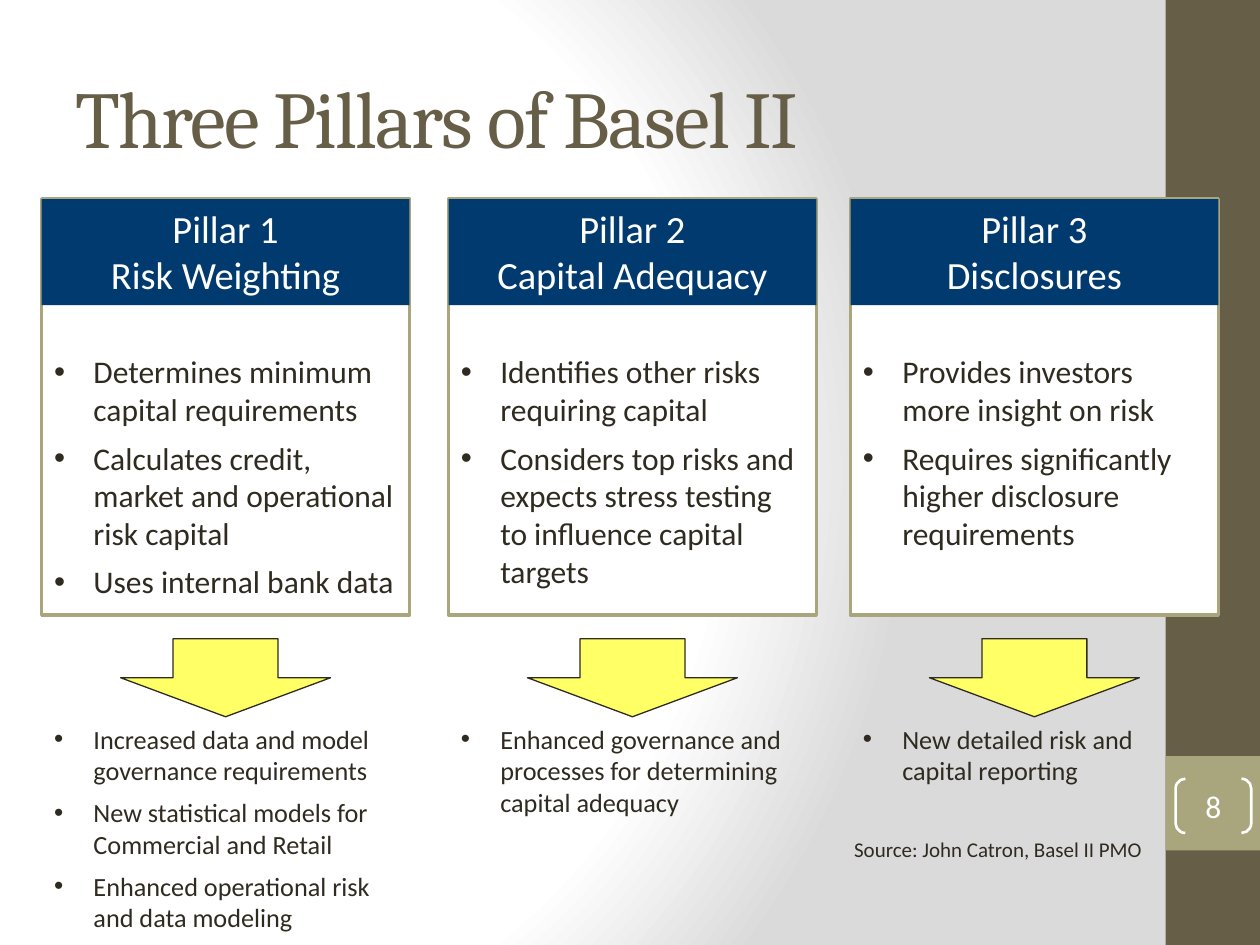
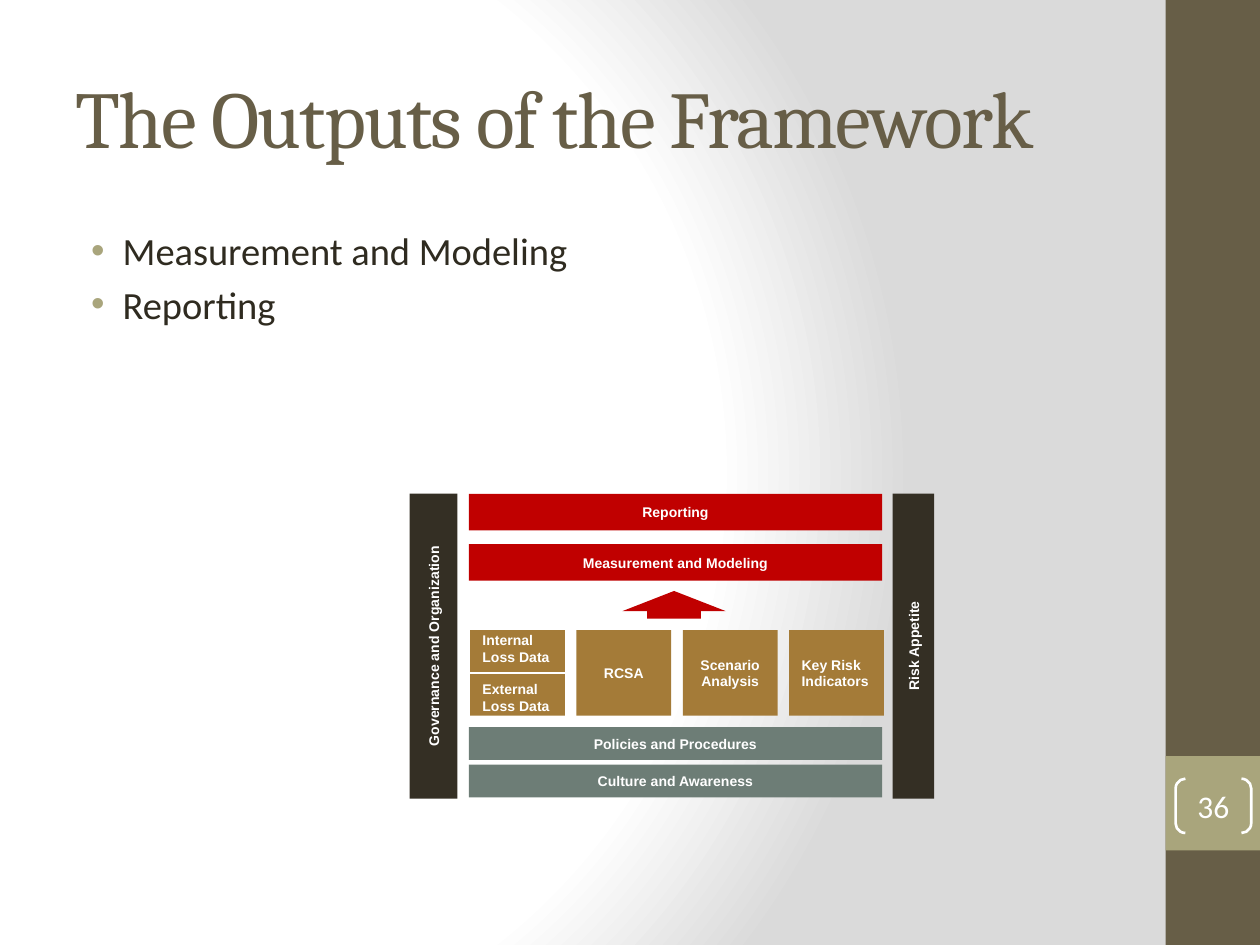
"""Builds two slides on the Basel II pillars and the outputs of a risk framework."""
from dataclasses import dataclass

from lxml import etree
from pptx import Presentation
from pptx import util as u
from pptx.dml import color
from pptx.enum import shapes, text
from pptx.oxml import ns

Pt = u.Pt
SHAPE = shapes.MSO_SHAPE
LEFT, CENTER = text.PP_ALIGN.LEFT, text.PP_ALIGN.CENTER
TOP, MIDDLE = text.MSO_ANCHOR.TOP, text.MSO_ANCHOR.MIDDLE


@dataclass(frozen=True)
class Style:
    """Font, size, colour and weight of a kind of text."""
    font: str
    size: float
    color: str
    bold: bool = False


class Theme:
    """Colours and type styles shared by the slides."""
    white, shade, ink = "FFFFFF", "DADADA", "2F2B20"
    brown, sage = "675E47", "A9A57C"
    navy, yellow = "003A6F", "FFFF66"
    red, ochre, slate, bar = "C00000", "A47B38", "6D7D76", "342F24"
    title = Style("Cambria", 46, brown)
    lead = Style("Calibri", 22, ink)
    header = Style("Calibri", 22, white)
    point = Style("Calibri", 18, ink)
    outcome = Style("Calibri", 15, ink)
    source = Style("Calibri", 12, ink)
    number = Style("Calibri", 18, white)
    block = Style("Arial", 8, white, True)


PILLARS = [
    (23.8, ["Pillar 1", "Risk Weighting"],
     ["Determines minimum capital requirements",
      "Calculates credit, market and operational risk capital",
      "Uses internal bank data"],
     ["Increased data and model governance requirements",
      "New statistical models for Commercial and Retail",
      "Enhanced operational risk and data modeling"]),
    (256.3, ["Pillar 2", "Capital Adequacy"],
     ["Identifies other risks requiring capital",
      "Considers top risks and expects stress testing to influence capital targets"],
     ["Enhanced governance and processes for determining capital adequacy"]),
    (486, ["Pillar 3", "Disclosures"],
     ["Provides investors more insight on risk",
      "Requires significantly higher disclosure requirements"],
     ["New detailed risk and capital reporting"]),
]
LAYERS = [
    ("Reporting", 282.2, 20.9, Theme.red),
    ("Measurement and Modeling", 311, 20.9, Theme.red),
    ("Policies and Procedures", 415.5, 18.7, Theme.slate),
    ("Culture and Awareness", 437, 18.7, Theme.slate),
]
INPUTS = [
    (["Internal", "Loss Data", "External Loss Data"], LEFT),
    (["RCSA"], CENTER),
    (["Scenario Analysis"], CENTER),
    (["Key Risk Indicators"], LEFT),
]
SIDES = [("Governance and Organization", 247.7, 27.4), ("Risk Appetite", 522, 23.8)]


def rgb(value):
    """Turn a hex string into a colour."""
    return color.RGBColor.from_string(value)


def add_bullet(paragraph, tint, margin, hang):
    """Give a paragraph a round bullet with a hanging indent."""
    props = paragraph._p.get_or_add_pPr()
    props.set("marL", str(Pt(margin)))
    props.set("indent", str(-Pt(hang)))
    tint_node = etree.SubElement(props, ns.qn("a:buClr"))
    etree.SubElement(tint_node, ns.qn("a:srgbClr"), val=tint)
    etree.SubElement(props, ns.qn("a:buFont"), typeface="Arial")
    etree.SubElement(props, ns.qn("a:buChar"), char="•")


def write(frame, lines, style, align=LEFT, anchor=TOP, before=0, bullet=None):
    """Fill a text frame with paragraphs in one style."""
    frame.word_wrap = True
    frame.auto_size = text.MSO_AUTO_SIZE.NONE
    frame.vertical_anchor = anchor
    for index, line in enumerate(lines):
        paragraph = frame.add_paragraph() if index else frame.paragraphs[0]
        paragraph.text = line
        if bullet:
            add_bullet(paragraph, *bullet)
        paragraph.alignment = align
        paragraph.space_before = Pt(before)
        font = paragraph.font
        font.name, font.size, font.bold = style.font, Pt(style.size), style.bold
        font.color.rgb = rgb(style.color)


def set_insets(frame, left, top, right, bottom):
    """Set the four inner margins of a text frame."""
    frame.margin_left, frame.margin_top = Pt(left), Pt(top)
    frame.margin_right, frame.margin_bottom = Pt(right), Pt(bottom)


def add_block(slide, kind, left, top, width, height, fill=None, line=None, weight=1):
    """Add a flat preset shape."""
    block = slide.shapes.add_shape(kind, Pt(left), Pt(top), Pt(width), Pt(height))
    block.shadow.inherit = False
    if fill:
        block.fill.solid()
        block.fill.fore_color.rgb = rgb(fill)
    else:
        block.fill.background()
    if line:
        block.line.color.rgb = rgb(line)
        block.line.width = Pt(weight)
    else:
        block.line.fill.background()
    return block


def add_text(slide, left, top, width, height, lines, style, **options):
    """Add a text box."""
    box = slide.shapes.add_textbox(Pt(left), Pt(top), Pt(width), Pt(height))
    write(box.text_frame, lines, style, **options)


def paint_background(master):
    """Give the master a radial gradient."""
    master.background.fill.gradient()
    gradient = master.element.find(".//" + ns.qn("a:gradFill"))
    gradient.clear()
    gradient.set("rotWithShape", "1")
    stops = etree.SubElement(gradient, ns.qn("a:gsLst"))
    for position, tint in ((0, Theme.white), (75, Theme.white), (100, Theme.shade)):
        stop = etree.SubElement(stops, ns.qn("a:gs"), pos=str(position * 1000))
        etree.SubElement(stop, ns.qn("a:srgbClr"), val=tint)
    circle = etree.SubElement(gradient, ns.qn("a:path"), {"path": "circle"})
    etree.SubElement(circle, ns.qn("a:fillToRect"),
                     l="20000", t="50000", r="100000", b="50000")


def start_slide(prs, heading):
    """Add a slide with its side band and title."""
    slide = prs.slides.add_slide(prs.slide_layouts[5])
    add_block(slide, SHAPE.RECTANGLE, 666, 0, 54, 540, Theme.brown)
    add_block(slide, SHAPE.RECTANGLE, 666, 432, 54, 54, Theme.sage)
    title = slide.shapes.title
    title.left, title.top, title.width, title.height = Pt(36), Pt(21.6), Pt(600), Pt(90)
    write(title.text_frame, [heading], Theme.title, anchor=MIDDLE)
    title.text_frame.paragraphs[0].runs[0]._r.get_or_add_rPr().set("spc", "-100")
    return slide


def add_page_number(slide, number):
    """Add the bracketed page number on the side band."""
    bracket = add_block(slide, SHAPE.DOUBLE_BRACKET, 671.8, 445, 43.2, 31,
                        line=Theme.white, weight=1.5)
    bracket.adjustments[0] = 0.18
    set_insets(bracket.text_frame, 0, 0, 0, 0)
    write(bracket.text_frame, [number], Theme.number, CENTER, MIDDLE)


def add_pillar(slide, left, heading, points, outcomes):
    """Add a pillar with its header, points, arrow and outcomes."""
    top, width, arrow_width = 113.8, 210.2, 120
    bullet = (Theme.ink, 22.5, 22.5)
    panel = add_block(slide, SHAPE.RECTANGLE, left, top, width, 237.6,
                      Theme.white, Theme.sage, 2)
    set_insets(panel.text_frame, 7.2, 87.6, 7.2, 3.6)
    write(panel.text_frame, points, Theme.point, before=6, bullet=bullet)
    header = add_block(slide, SHAPE.RECTANGLE, left, top, width, 60.6, Theme.navy)
    write(header.text_frame, heading, Theme.header, CENTER)
    add_block(slide, SHAPE.DOWN_ARROW, left + (width - arrow_width) / 2, 365,
              arrow_width, 44.6, Theme.yellow, Theme.ink, 0.75)
    add_text(slide, left, 409.7, width, 120, outcomes, Theme.outcome,
             before=6, bullet=bullet)


def add_label_block(slide, lines, left, top, width, height, fill, align=CENTER):
    """Add a filled rectangle with a small bold label."""
    block = add_block(slide, SHAPE.RECTANGLE, left, top, width, height, fill)
    set_insets(block.text_frame, 7.2, 0, 3.6 if align == LEFT else 7.2, 0)
    write(block.text_frame, lines, Theme.block, align, MIDDLE)
    return block


def add_divider(slide, block):
    """Draw a white line across the middle of a block."""
    divider = slide.shapes.add_connector(shapes.MSO_CONNECTOR.STRAIGHT, 0, 0, 0, 0)
    divider.begin_connect(block, 1)
    divider.end_connect(block, 3)
    divider.line.color.rgb = rgb(Theme.white)
    divider.line.width = Pt(0.75)
    etree.SubElement(divider._element.spPr, ns.qn("a:effectLst"))


def add_framework(slide):
    """Add the framework diagram."""
    for label, top, height, fill in LAYERS:
        add_label_block(slide, [label], 267.9, top, 236.2, height, fill)
    inputs = [add_label_block(slide, lines, 268.6 + 60.8 * column, 360, 54.2, 49,
                              Theme.ochre, align)
              for column, (lines, align) in enumerate(INPUTS)]
    loss_data = inputs[0]
    loss_data.text_frame.paragraphs[2].space_before = Pt(9.2)
    add_divider(slide, loss_data)
    rise = add_block(slide, SHAPE.UP_ARROW, 355.7, 337.7, 59, 15.8, Theme.red)
    rise.adjustments[0], rise.adjustments[1] = 0.52, 0.73
    length, middle = 174.2, 369.2
    for label, center, thickness in SIDES:
        side = add_label_block(slide, [label], center - length / 2,
                               middle - thickness / 2, length, thickness, Theme.bar)
        side.rotation = 270


def build_pillars(prs):
    """Build the slide on the three pillars."""
    slide = start_slide(prs, "Three Pillars of Basel II")
    for pillar in PILLARS:
        add_pillar(slide, *pillar)
    add_text(slide, 481, 474.5, 180, 21.6, ["Source: John Catron, Basel II PMO"],
             Theme.source)
    add_page_number(slide, "8")


def build_outputs(prs):
    """Build the slide on the outputs of the framework."""
    slide = start_slide(prs, "The Outputs of the Framework")
    add_text(slide, 36, 126, 600, 80, ["Measurement and Modeling", "Reporting"],
             Theme.lead, before=4.4, bullet=(Theme.sage, 27, 18))
    add_framework(slide)
    add_page_number(slide, "36")


def main():
    """Build and save the presentation."""
    prs = Presentation()
    prs.slide_width, prs.slide_height = Pt(720), Pt(540)
    paint_background(prs.slide_master)
    build_pillars(prs)
    build_outputs(prs)
    prs.save("out.pptx")


if __name__ == "__main__":
    main()
